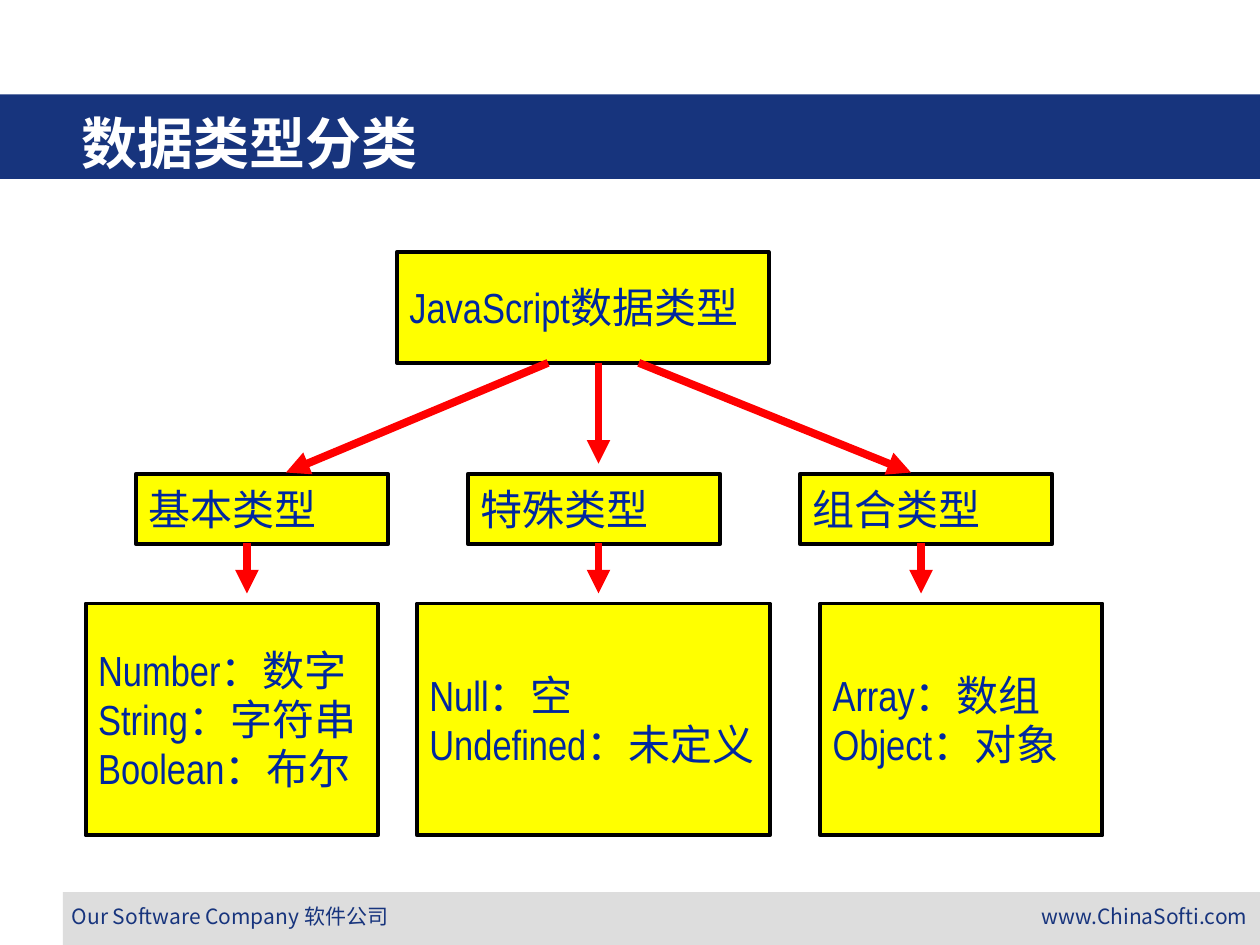
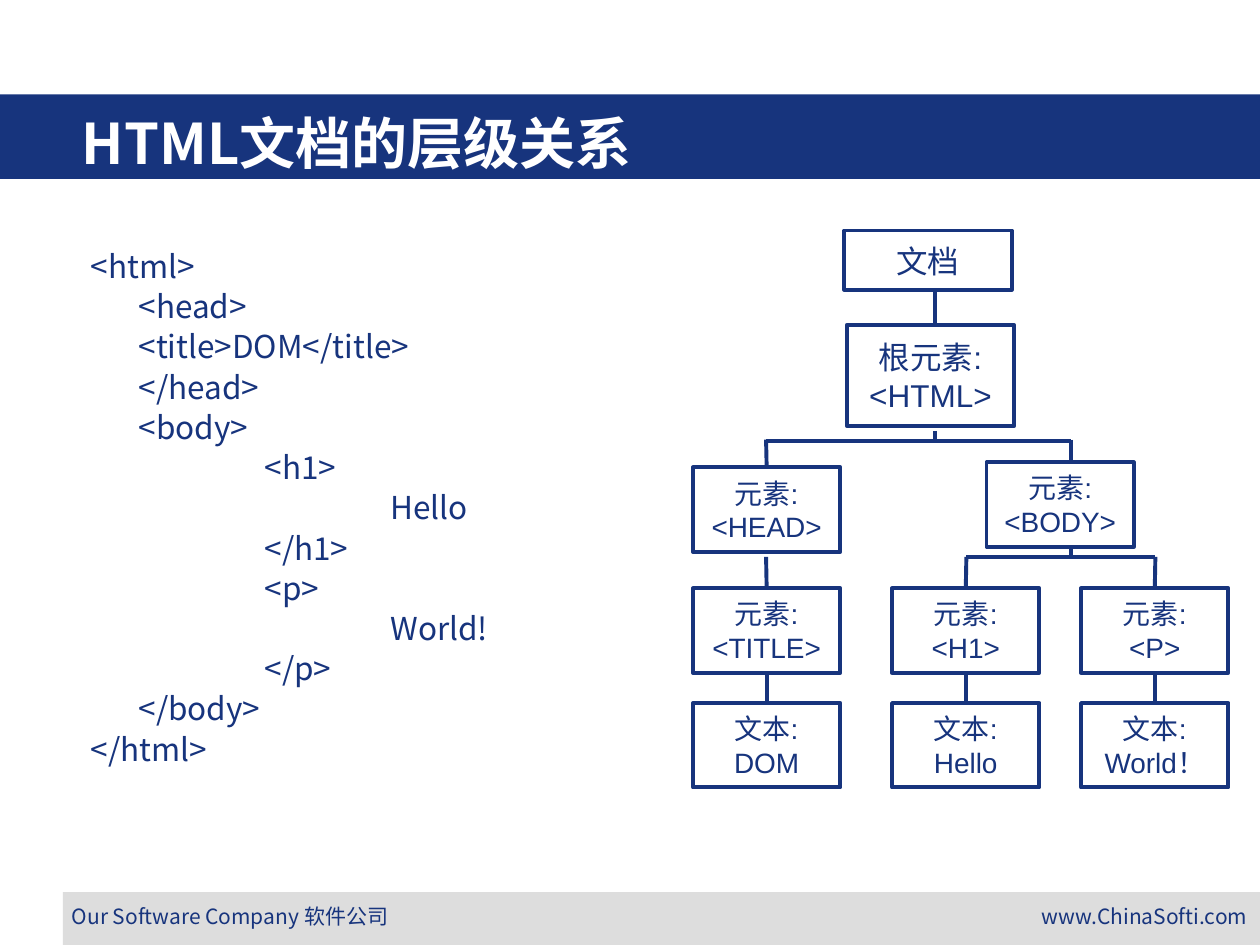
from dataclasses import dataclass
from typing import Any, NamedTuple, Optional

from lxml import etree
from pptx import Presentation
from pptx.dml.color import RGBColor
from pptx.enum.shapes import MSO_CONNECTOR, MSO_SHAPE
from pptx.enum.text import MSO_ANCHOR, MSO_AUTO_SIZE, PP_ALIGN
from pptx.oxml.ns import qn
from pptx.util import Inches, Pt

RECTANGLE = MSO_SHAPE.RECTANGLE
STRAIGHT = MSO_CONNECTOR.STRAIGHT
MIDDLE, TOP_ANCHOR = MSO_ANCHOR.MIDDLE, MSO_ANCHOR.TOP
LEFT, CENTER, RIGHT = PP_ALIGN.LEFT, PP_ALIGN.CENTER, PP_ALIGN.RIGHT
NO_AUTOFIT = MSO_AUTO_SIZE.NONE
TOP_SIDE, BOTTOM_SIDE = 0, 2

NAVY, INK, RED = "17347D", "00279F", "FF0000"
WHITE, BLACK, YELLOW, GRAY = "FFFFFF", "000000", "FFFF00", "DDDDDD"
CJK_FONT = "Noto Sans CJK SC"


class Area(NamedTuple):
    left: float
    top: float
    width: float
    height: float


@dataclass(frozen=True)
class TextStyle:
    size: int
    color: str
    font: str = CJK_FONT
    bold: bool = False
    spacing: Optional[float] = None  # line pitch in points
    align: Any = LEFT


@dataclass(frozen=True)
class Node:
    area: Area
    text: str
    style: TextStyle


class Link(NamedTuple):
    start: tuple[float, float]
    end: tuple[float, float]
    from_node: str = ""
    to_node: str = ""


TITLE = TextStyle(32, WHITE, bold=True, spacing=42)
FOOTER_LEFT = TextStyle(12, NAVY, align=CENTER)
FOOTER_RIGHT = TextStyle(12, NAVY, align=RIGHT)
CODE = TextStyle(18, NAVY, spacing=23)
TYPE = TextStyle(24, INK, "Arial Narrow", spacing=28)
TREE_TOP = TextStyle(18, NAVY, "Arial", spacing=22, align=CENTER)
TREE = TextStyle(16, NAVY, "Arial", spacing=19.4, align=CENTER)


def rgb(color: str) -> RGBColor:
    return RGBColor.from_string(color)


def inches(values: tuple) -> list:
    return [Inches(value) for value in values]


def place(shape: Any, area: Area) -> None:
    shape.left, shape.top, shape.width, shape.height = inches(area)


def write(frame: Any, text: str, style: TextStyle, indents: tuple = ()) -> None:
    """Write one paragraph per line, each with its own left indent if given."""
    frame.text = text
    frame.auto_size = NO_AUTOFIT
    for number, para in enumerate(frame.paragraphs):
        para.alignment = style.align
        para.space_before = Pt(0)
        if style.spacing:
            para.line_spacing = Pt(style.spacing)
        properties = para._p.get_or_add_pPr()
        if indents:
            properties.set("marL", str(Inches(indents[number])))
            properties.set("indent", "0")
            etree.SubElement(properties, qn("a:buNone"))
        font = para.font
        font.size, font.bold, font.name = Pt(style.size), style.bold, style.font
        font.color.rgb = rgb(style.color)
        east_asian = etree.SubElement(properties.find(qn("a:defRPr")), qn("a:ea"))
        east_asian.set("typeface", CJK_FONT)


def add_rectangle(slide: Any, area: Area, fill: str, outline: str = "") -> Any:
    box = slide.shapes.add_shape(RECTANGLE, *inches(area))
    box.shadow.inherit = False
    box.fill.solid()
    box.fill.fore_color.rgb = rgb(fill)
    if outline:
        box.line.color.rgb = rgb(outline)
        box.line.width = Pt(2.25)
    else:
        box.line.fill.background()
    return box


def add_node(slide: Any, node: Node, fill: str, outline: str, wrap: bool) -> Any:
    box = add_rectangle(slide, node.area, fill, outline)
    frame = box.text_frame
    frame.vertical_anchor = MIDDLE
    write(frame, node.text, node.style)
    frame.word_wrap = wrap
    return box


def add_line(slide: Any, link: Link, color: str, width: float, arrow: bool = False) -> Any:
    line = slide.shapes.add_connector(STRAIGHT, *inches(link.start + link.end))
    line.line.color.rgb = rgb(color)
    line.line.width = Pt(width)
    properties = line.element.spPr
    if arrow:
        etree.SubElement(properties.find(qn("a:ln")), qn("a:tailEnd"), type="triangle")
    etree.SubElement(properties, qn("a:effectLst"))
    return line


def add_footer_text(slide: Any, left: float, text: str, style: TextStyle) -> Any:
    box = slide.shapes.add_textbox(*inches((left, 7.12, 2.91, 0.42)))
    box.text_frame.word_wrap = True
    write(box.text_frame, text, style)
    return box


def add_page(deck: Any, layout: str, title: str) -> Any:
    """Add a slide with the shared bands, footer and title."""
    slide = deck.slides.add_slide(deck.slide_layouts.get_by_name(layout))
    background = (
        add_rectangle(slide, Area(0.5, 7.08, 9.5, 0.42), GRAY),
        add_rectangle(slide, Area(0, 0.75, 10, 0.67), NAVY),
        add_footer_text(slide, 7.09, "www.ChinaSofti.com", FOOTER_RIGHT),
        add_footer_text(slide, 0.37, "Our Software Company 软件公司", FOOTER_LEFT),
    )
    # Send the shared parts behind the placeholders
    for position, shape in enumerate(background, start=2):
        slide.shapes.element.insert(position, shape.element)
    heading = slide.shapes.title
    place(heading, Area(0.55, 0.79, 8.53, 0.62))
    frame = heading.text_frame
    frame.vertical_anchor = MIDDLE
    frame.margin_top = frame.margin_bottom = 0
    write(frame, title, TITLE)
    return slide


def build_data_types(deck: Any) -> None:
    slide = add_page(deck, "Title Only", "数据类型分类")

    # Root, categories and their members
    nodes = [Node(Area(3.15, 2, 2.95, 0.88), "JavaScript数据类型", TYPE)]
    for column, category in enumerate(("基本类型", "特殊类型", "组合类型")):
        nodes.append(Node(Area(1.08 + 2.635 * column, 3.76, 2, 0.56), category, TYPE))
    for left, width, members in (
        (0.68, 2.32, "Number：数字\nString：字符串\nBoolean：布尔"),
        (3.31, 2.8, "Null：空\nUndefined：未定义"),
        (6.51, 2.24, "Array：数组\nObject：对象"),
    ):
        nodes.append(Node(Area(left, 4.79, width, 1.84), members, TYPE))
    for node in nodes:
        add_node(slide, node, YELLOW, BLACK, wrap=False)

    # Arrows from the root, then from each category
    arrows = [
        Link((4.35, 2.88), (2.27, 3.75)),
        Link((4.75, 2.88), (4.75, 3.68)),
        Link((5.07, 2.88), (7.23, 3.75)),
    ]
    arrows += [Link((x, 4.31), (x, 4.71)) for x in (1.96, 4.75, 7.31)]
    for arrow in arrows:
        add_line(slide, arrow, RED, 4.5, arrow=True)


def build_document_tree(deck: Any) -> None:
    slide = add_page(deck, "Title and Content", "HTML文档的层级关系")

    # Markup, as nesting level and line
    markup = (
        (0, "<html>"), (1, "<head>"), (1, "<title>DOM</title>"), (1, "</head>"),
        (1, "<body>"), (2, "<h1>"), (3, "Hello"), (2, "</h1>"), (2, "<p>"),
        (3, "World!"), (2, "</p>"), (1, "</body>"), (0, "</html>"),
    )
    level_indents = (0, 0.38, 1.38, 2.38)
    body = slide.placeholders[1]
    place(body, Area(0.62, 1.89, 4.88, 4.67))
    body.text_frame.vertical_anchor = TOP_ANCHOR
    write(body.text_frame, "\n".join(line for _, line in markup), CODE,
          tuple(level_indents[level] for level, _ in markup))

    # Tree boxes
    nodes = {
        "document": Node(Area(6.7, 1.83, 1.33, 0.47), "文档", TREE_TOP),
        "root": Node(Area(6.72, 2.58, 1.33, 0.8), "根元素:\n<HTML>", TREE_TOP),
    }
    for name, left, top, text in (
        ("head", 5.5, 3.71, "元素:\n<HEAD>"),
        ("body", 7.83, 3.67, "元素:\n<BODY>"),
        ("title", 5.5, 4.67, "元素:\n<TITLE>"),
        ("h1", 7.08, 4.67, "元素:\n<H1>"),
        ("p", 8.58, 4.67, "元素:\n<P>"),
        ("title text", 5.5, 5.58, "文本:\nDOM"),
        ("h1 text", 7.08, 5.58, "文本:\nHello"),
        ("p text", 8.58, 5.58, "文本:\nWorld！"),
    ):
        nodes[name] = Node(Area(left, top, 1.17, 0.67), text, TREE)
    boxes = {name: add_node(slide, node, WHITE, NAVY, wrap=name != "root")
             for name, node in nodes.items()}

    # Trunks, crossbars and branches
    links = [
        Link((7.42, 2.32), (7.42, 2.57)),
        Link((7.42, 3.42), (7.42, 3.5)),
        Link((6.08, 3.5), (8.5, 3.5)),
        Link((6.08, 3.49), (6.08, 3.71), to_node="head"),
        Link((8.5, 3.49), (8.5, 3.66)),
        Link((8.5, 4.33), (8.5, 4.42)),
        Link((7.67, 4.42), (9.17, 4.42)),
    ]
    for x, name in ((6.08, "title"), (7.67, "h1"), (9.17, "p")):
        links.append(Link((x, 4.42), (x, 4.67), to_node=name))
        links.append(Link((x, 5.34), (x, 5.58), name, f"{name} text"))
    for link in links:
        line = add_line(slide, link, NAVY, 2.25)
        if link.from_node:
            line.begin_connect(boxes[link.from_node], BOTTOM_SIDE)
        if link.to_node:
            line.end_connect(boxes[link.to_node], TOP_SIDE)


def main() -> None:
    deck = Presentation()
    deck.slide_width, deck.slide_height = Inches(10), Inches(7.5)
    build_data_types(deck)
    build_document_tree(deck)
    deck.save("out.pptx")


if __name__ == "__main__":
    main()
